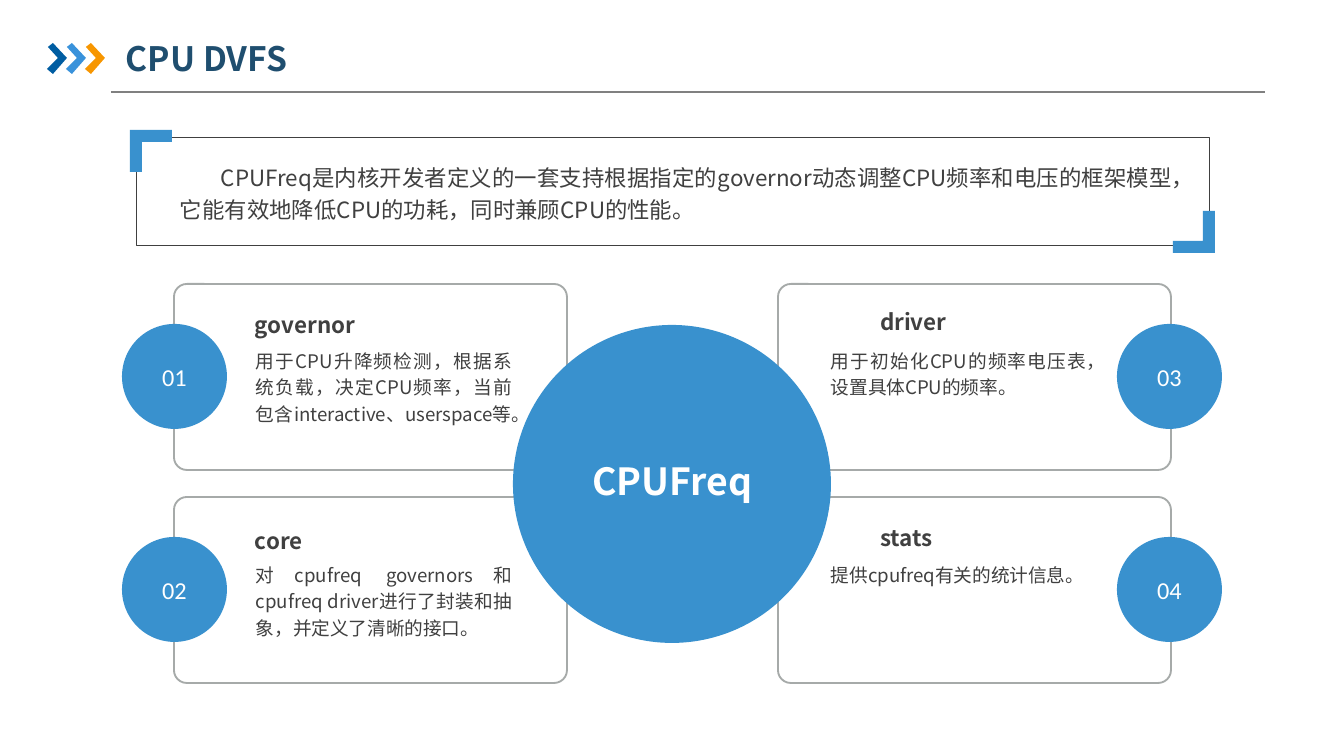
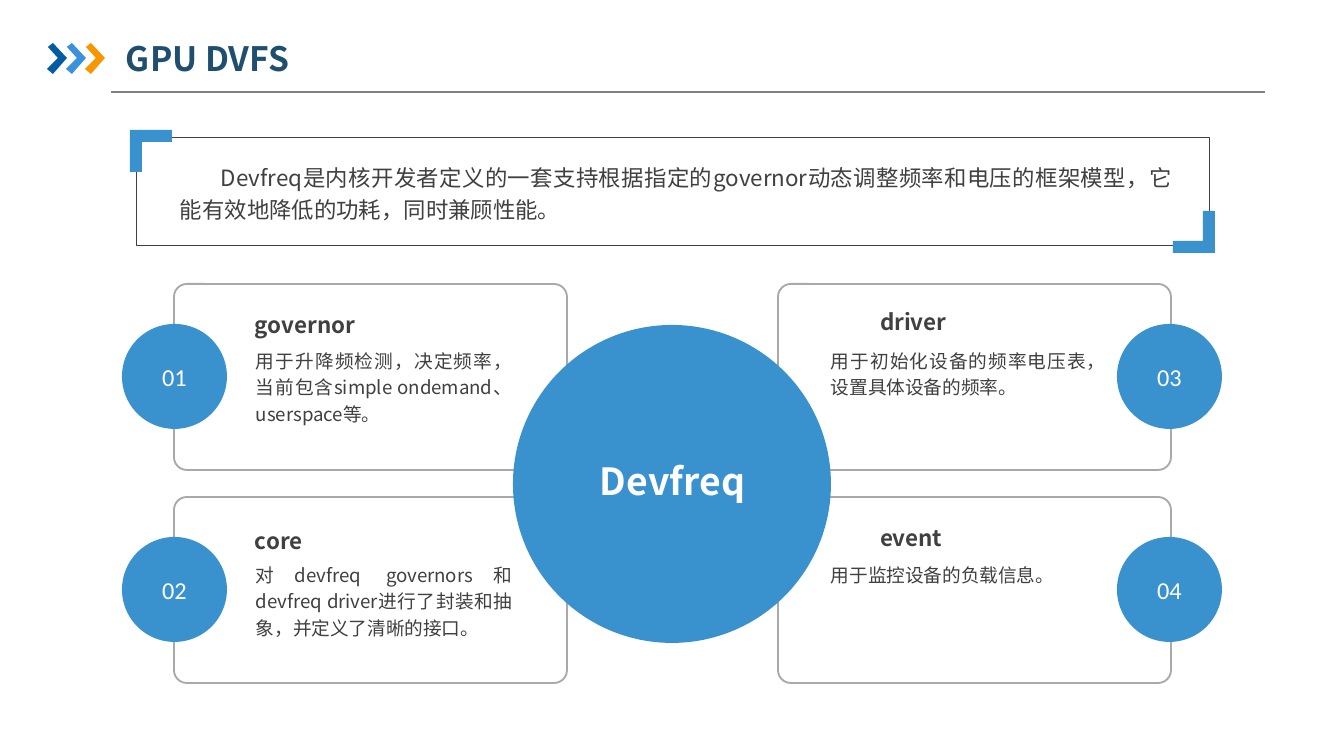
from pptx import Presentation
from pptx.dml.color import RGBColor
from pptx.enum.shapes import MSO_CONNECTOR, MSO_SHAPE
from pptx.enum.text import MSO_ANCHOR, PP_ALIGN
from pptx.oxml.ns import qn
from pptx.util import Pt
from lxml.etree import SubElement

SCALE = 914400 / 134.4  # EMU per pixel
WIDTH, HEIGHT = 1344, 756

BLUE = RGBColor(0x39, 0x91, 0xCE)
NAVY = RGBColor(0x1F, 0x4E, 0x6F)
TEXT = RGBColor(0x40, 0x40, 0x40)
RULE = RGBColor(0x80, 0x80, 0x80)
BORDER = RGBColor(0xA6, 0xAA, 0xA9)
WHITE = RGBColor(0xFF, 0xFF, 0xFF)
CHEVRONS = [RGBColor(0x00, 0x5D, 0xA2), RGBColor(0x39, 0x92, 0xDB),
            RGBColor(0xF7, 0x96, 0x00)]
CJK, LATIN = "Noto Sans CJK SC", "Calibri"

CARD_W, CARD_H, BADGE, HUB = 393, 186, 105, 318
# Left and right columns: card, badge, heading and body x, heading line spacing
COLUMNS = [(174, 122, 255, 256, 1.2), (778, 1117, 880, 831, None)]
# Upper and lower rows: card, badge, heading and body y
ROWS = [(284, 324, 300, 345), (497, 537, 516, 559)]
BODY_HEIGHTS = [83, 54, 56, 54]


def px(n):
    return round(n * SCALE)


class Deck:
    def __init__(self):
        self.prs = Presentation()
        self.prs.slide_width, self.prs.slide_height = px(WIDTH), px(HEIGHT)

    def new_slide(self):
        self.s = self.prs.slides.add_slide(self.prs.slide_layouts[6])

    def paint(self, sp, fill=None, line=None, weight=1):
        sp.shadow.inherit = False
        if fill is None:
            sp.fill.background()
        else:
            sp.fill.solid()
            sp.fill.fore_color.rgb = fill
        if line is None:
            sp.line.fill.background()
        else:
            sp.line.color.rgb = line
            sp.line.width = Pt(weight)

    def set_text(self, sp, text, size, color, font=CJK, bold=False, align=None,
                 spacing=None, anchor=MSO_ANCHOR.MIDDLE, inset=(0, 0), indent=0):
        tf = sp.text_frame
        tf.word_wrap = True
        tf.vertical_anchor = anchor
        tf.margin_left = tf.margin_right = px(inset[0])
        tf.margin_top = tf.margin_bottom = px(inset[1])
        p = tf.paragraphs[0]
        p.text = text
        p.alignment = align
        p.line_spacing = spacing
        if indent:
            p._p.get_or_add_pPr().set("indent", str(px(indent)))
        r = p.runs[0]
        r.font.size, r.font.bold, r.font.name = Pt(size), bold, font
        r.font.color.rgb = color
        SubElement(r._r.get_or_add_rPr(), qn("a:ea"), typeface=font)

    def text(self, x, y, w, h, text, size, color, **style):
        sp = self.s.shapes.add_textbox(px(x), px(y), px(w), px(h))
        self.set_text(sp, text, size, color, **style)

    def box(self, x, y, w, h, line, weight, radius=0):
        sp = self.s.shapes.add_shape(MSO_SHAPE.ROUNDED_RECTANGLE,
                                     px(x), px(y), px(w), px(h))
        sp.adjustments[0] = radius
        self.paint(sp, line=line, weight=weight)

    def circle(self, x, y, d):
        sp = self.s.shapes.add_shape(MSO_SHAPE.OVAL, px(x), px(y), px(d), px(d))
        self.paint(sp, BLUE)
        return sp

    def badge(self, x, y, number):
        self.set_text(self.circle(x, y, BADGE), number, 13, WHITE, font=LATIN,
                      align=PP_ALIGN.CENTER, inset=(4, 4))

    def outline(self, shapes, points, fill):
        fb = shapes.build_freeform(*points[0], scale=SCALE)
        fb.add_line_segments(points[1:], close=True)
        self.paint(fb.convert_to_shape(), fill)

    def corner(self, x, y, sign):
        bracket = [(0, 0), (42, 0), (42, 12), (12, 12), (12, 42), (0, 42)]
        self.outline(self.s.shapes,
                     [(x + sign * dx, y + sign * dy) for dx, dy in bracket], BLUE)

    def rule(self, x1, x2, y):
        ln = self.s.shapes.add_connector(MSO_CONNECTOR.STRAIGHT,
                                         px(x1), px(y), px(x2), px(y))
        ln.line.color.rgb = RULE
        ln.line.width = Pt(0.75)
        SubElement(ln._element.spPr, qn("a:effectLst"))

    def header(self, title):
        self.text(126, 30, 313, 56, title, 18, NAVY, bold=True, inset=(0, 7))
        self.rule(111, 1265, 92)
        group = self.s.shapes.add_group_shape()
        arrow = [(1, 47), (6, 43), (20, 58), (6, 74), (0, 69), (11, 58)]
        for i, color in enumerate(CHEVRONS):
            self.outline(group.shapes, [(47 + 19 * i + x, y) for x, y in arrow],
                         color)

    def intro(self, text):
        self.box(136, 137, 1073, 108, TEXT, 0.25)
        self.text(180, 159, 992, 64, text, 12, TEXT, align=PP_ALIGN.JUSTIFY,
                  spacing=1.2, anchor=MSO_ANCHOR.TOP, indent=41)
        self.corner(130, 130, 1)
        self.corner(1215, 253, -1)

    def hub(self, name, parts):
        cells = [(col, row) for col in COLUMNS for row in ROWS]
        # Cards behind the central circle
        for col, row in cells:
            self.box(col[0], row[0], CARD_W, CARD_H, BORDER, 1, 0.069)
        self.circle(513, 325, HUB)
        # Numbered parts
        for i, ((col, row), (head, body)) in enumerate(zip(cells, parts)):
            self.text(col[3], row[3], 256, BODY_HEIGHTS[i], body, 10, TEXT,
                      align=PP_ALIGN.JUSTIFY, spacing=1.2,
                      anchor=MSO_ANCHOR.TOP)
            self.text(col[2], row[2], 206, 44, head, 12, TEXT, bold=True,
                      spacing=col[4])
            self.badge(col[1], row[1], f"{i + 1:02d}")
        self.text(567, 446, 211, 70, name, 20, WHITE, bold=True,
                  align=PP_ALIGN.CENTER)


SLIDES = [
    ("CPU DVFS", "CPUFreq",
     "CPUFreq是内核开发者定义的一套支持根据指定的governor动态调整CPU频率和电压的框架模型，"
     "它能有效地降低CPU的功耗，同时兼顾CPU的性能。",
     [("governor", "用于CPU升降频检测，根据系统负载，决定CPU频率，"
                   "当前包含interactive、userspace等。"),
      ("core", "对cpufreq governors和cpufreq driver进行了封装和抽象，并定义了清晰的接口。"),
      ("driver", "用于初始化CPU的频率电压表，设置具体CPU的频率。"),
      ("stats", "提供cpufreq有关的统计信息。")]),
    ("GPU DVFS", "Devfreq",
     "Devfreq是内核开发者定义的一套支持根据指定的governor动态调整频率和电压的框架模型，"
     "它能有效地降低的功耗，同时兼顾性能。",
     [("governor", "用于升降频检测，决定频率，当前包含simple ondemand、userspace等。"),
      ("core", "对devfreq governors和devfreq driver进行了封装和抽象，并定义了清晰的接口。"),
      ("driver", "用于初始化设备的频率电压表，设置具体设备的频率。"),
      ("event", "用于监控设备的负载信息。")]),
]

deck = Deck()
for title, name, summary, parts in SLIDES:
    deck.new_slide()
    deck.header(title)
    deck.intro(summary)
    deck.hub(name, parts)
deck.prs.save("out.pptx")
